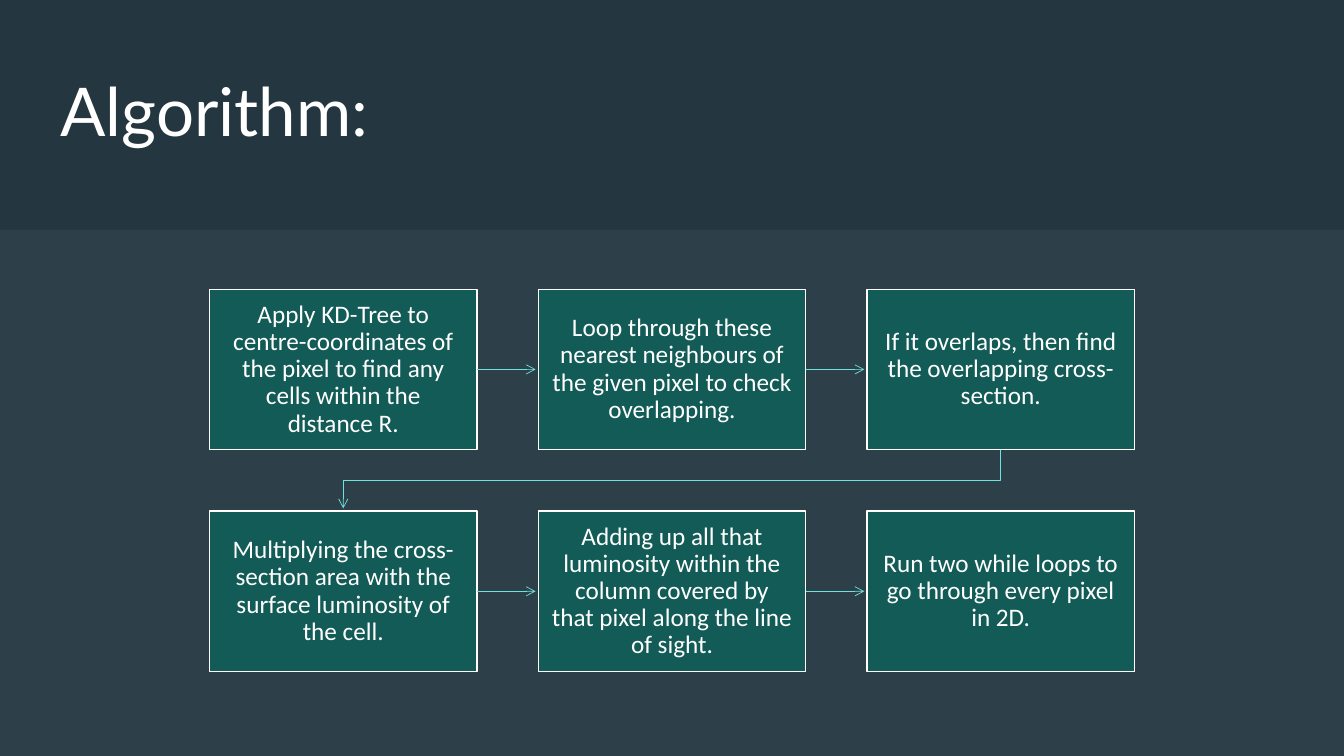
from lxml.etree import SubElement
from pptx import Presentation
from pptx.dml.color import RGBColor
from pptx.enum.shapes import MSO_CONNECTOR, MSO_SHAPE
from pptx.enum.text import MSO_ANCHOR, PP_ALIGN
from pptx.oxml.ns import qn
from pptx.util import Pt

COLORS = {
    "background": "243741",
    "panel": "E5ECF0",
    "box": "125B56",
    "arrow": "6CE3DB",
    "white": "FFFFFF",
}
SLIDE_WIDTH, SLIDE_HEIGHT = 960, 540
COLUMNS = 3
STEPS = [
    "Apply KD-Tree to centre-coordinates of the pixel to find any cells within the distance R.",
    "Loop through these nearest neighbours of the given pixel to check overlapping.",
    "If it overlaps, then find the overlapping cross-section.",
    "Multiplying the cross-section area with the surface luminosity of the cell.",
    "Adding up all that luminosity within the column covered by that pixel along the line of sight.",
    "Run two while loops to go through every pixel in 2D.",
]


def color(name):
    return RGBColor.from_string(COLORS[name])


def write_text(shape, text, font_name, size, alignment, margins):
    text_frame = shape.text_frame
    text_frame.text = text
    text_frame.word_wrap = True
    text_frame.vertical_anchor = MSO_ANCHOR.MIDDLE
    horizontal, vertical = margins
    text_frame.margin_left = text_frame.margin_right = Pt(horizontal)
    text_frame.margin_top = text_frame.margin_bottom = Pt(vertical)
    paragraph = text_frame.paragraphs[0]
    paragraph.alignment = alignment
    paragraph.line_spacing = 0.9
    font = paragraph.runs[0].font
    font.name, font.size = font_name, Pt(size)
    font.color.rgb = color("white")


def add_rectangle(slide, left, top, width, height, fill):
    shape = slide.shapes.add_shape(
        MSO_SHAPE.RECTANGLE, Pt(left), Pt(top), Pt(width), Pt(height))
    shape.shadow.inherit = False
    shape.fill.solid()
    shape.fill.fore_color.rgb = color(fill)
    shape.line.fill.background()
    return shape


def style_arrow(shape):
    shape.line.color.rgb = color("arrow")
    shape.line.width = Pt(0.5)
    properties = shape._element.spPr
    SubElement(properties.find(qn("a:ln")), qn("a:tailEnd"), type="arrow")
    SubElement(properties, qn("a:effectLst"))


def add_title(slide, left, top, width, height):
    title = slide.shapes.add_textbox(Pt(left), Pt(top), Pt(width), Pt(height))
    write_text(title, "Algorithm:", "Lato", 48, PP_ALIGN.LEFT, (0, 0))


def add_panel(slide, left, top, width, height):
    panel = add_rectangle(slide, left, top, width, height, "panel")
    panel_color = panel._element.spPr.find(qn("a:solidFill"))[0]
    SubElement(panel_color, qn("a:alpha"), val="5000")


def add_step(slide, left, top, width, height, text):
    box = add_rectangle(slide, left, top, width, height, "box")
    box.line.color.rgb = color("white")
    box.line.width = Pt(1)
    write_text(box, text, "Calibri", 18, PP_ALIGN.CENTER, (9.36, 10))


def add_straight_arrow(slide, left, right, y):
    arrow = slide.shapes.add_connector(
        MSO_CONNECTOR.STRAIGHT, Pt(left), Pt(y), Pt(right), Pt(y))
    style_arrow(arrow)


def add_return_arrow(slide, start_x, start_y, end_x, end_y, turn_y):
    builder = slide.shapes.build_freeform(Pt(start_x), Pt(start_y))
    corners = [(start_x, turn_y), (end_x, turn_y), (end_x, end_y)]
    builder.add_line_segments([(Pt(x), Pt(y)) for x, y in corners], close=False)
    arrow = builder.convert_to_shape()
    arrow.fill.background()
    style_arrow(arrow)


def add_flow(slide, left, top, width, height):
    gap = 44
    box_width = (width - (COLUMNS - 1) * gap) / COLUMNS
    box_height = (height - gap) / 2
    tip_clearance = 2
    for index, text in enumerate(STEPS):
        row, column = divmod(index, COLUMNS)
        x = left + column * (box_width + gap)
        y = top + row * (box_height + gap)
        add_step(slide, x, y, box_width, box_height, text)
        right, bottom = x + box_width, y + box_height
        if column < COLUMNS - 1:
            add_straight_arrow(
                slide, right, right + gap - tip_clearance, y + box_height / 2)
        elif index < len(STEPS) - 1:
            add_return_arrow(
                slide, x + box_width / 2, bottom, left + box_width / 2,
                bottom + gap - tip_clearance, bottom + gap / 2)


def build_algorithm_slide(presentation):
    slide = presentation.slides.add_slide(presentation.slide_layouts[6])
    slide.background.fill.solid()
    slide.background.fill.fore_color.rgb = color("background")
    # Header
    add_title(slide, 43.2, 43.2, 559.3, 77.8)
    # Lighter lower area
    panel_top = 164.2
    add_panel(slide, 0, panel_top, SLIDE_WIDTH, SLIDE_HEIGHT - panel_top)
    # Two rows of steps joined by arrows
    add_flow(slide, 149.8, 206.6, 660.4, 273)


def main():
    presentation = Presentation()
    presentation.slide_width = Pt(SLIDE_WIDTH)
    presentation.slide_height = Pt(SLIDE_HEIGHT)
    build_algorithm_slide(presentation)
    presentation.save("out.pptx")


if __name__ == "__main__":
    main()
